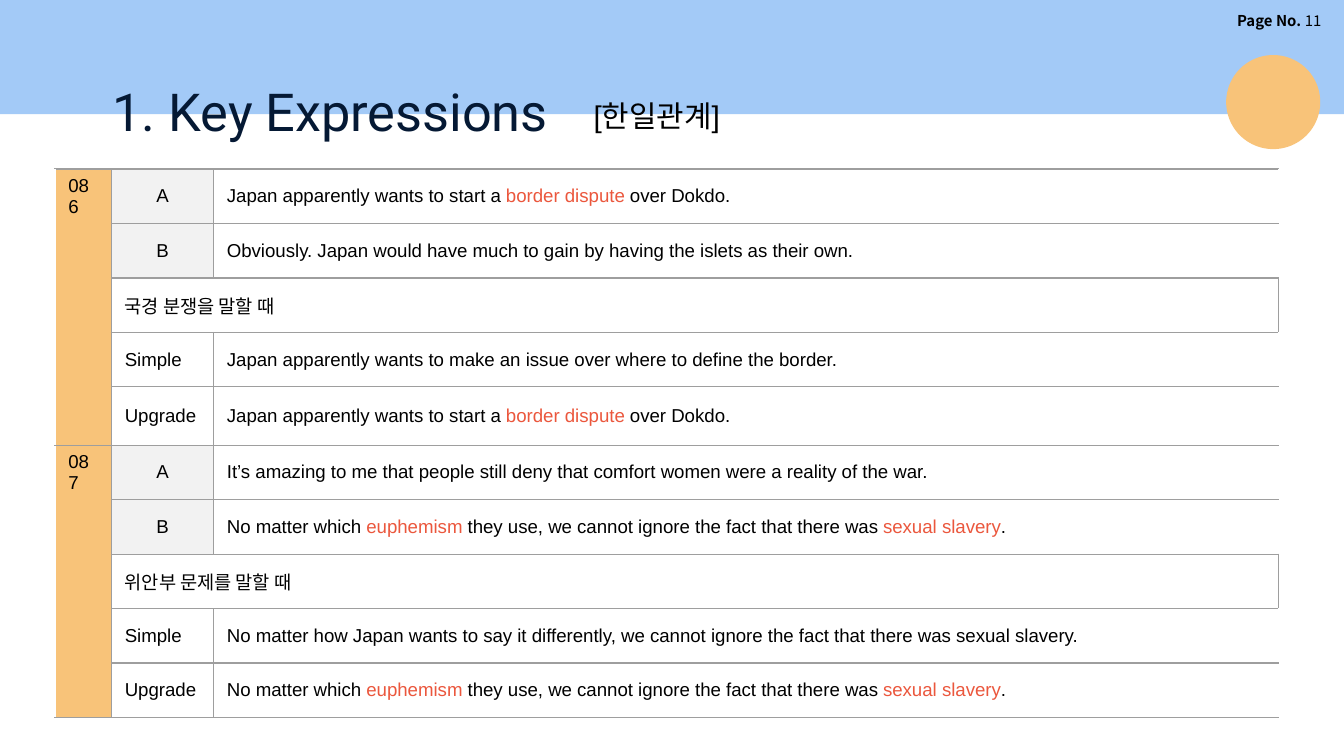
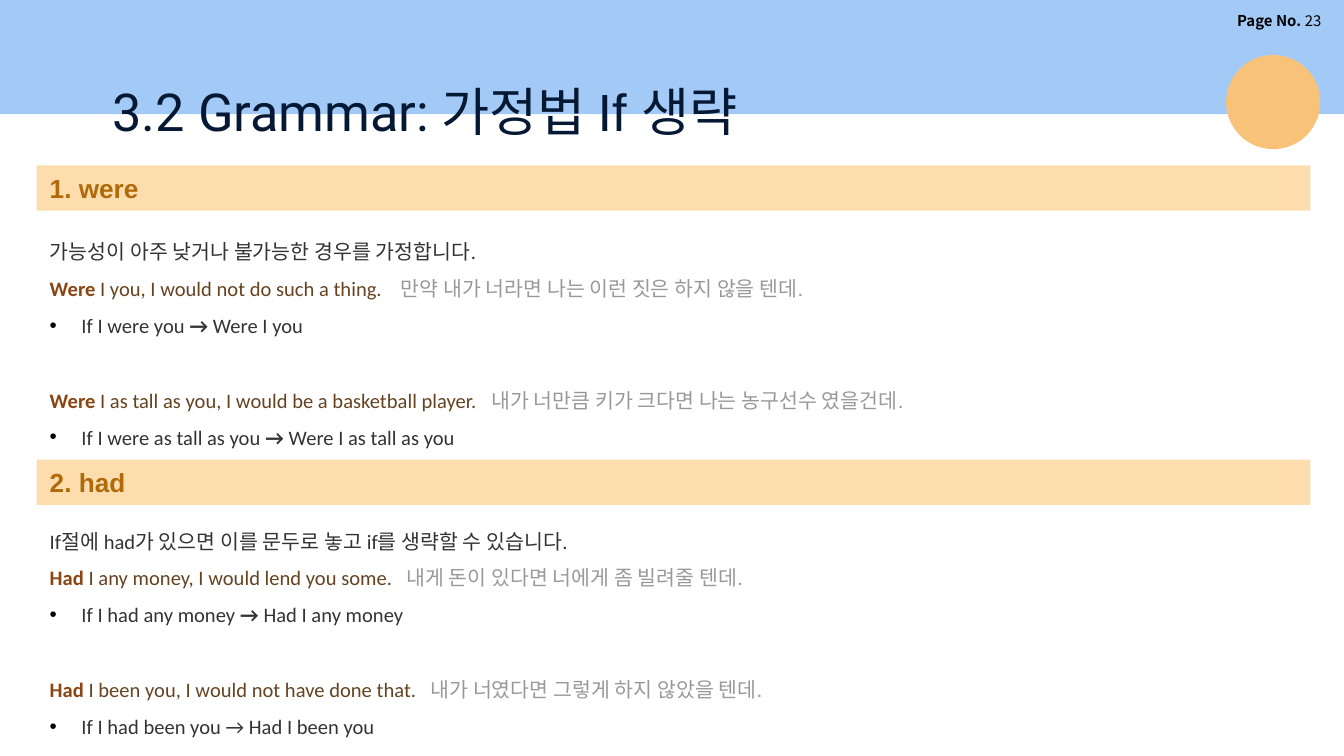
"""Build two English lesson slides: key expressions and inverted conditionals."""
from lxml import etree
from pptx import Presentation
from pptx.dml.color import RGBColor
from pptx.enum.shapes import MSO_SHAPE as Shape
from pptx.enum.text import MSO_ANCHOR as Anchor, PP_ALIGN as Align
from pptx.oxml import parse_xml
from pptx.oxml.ns import nsdecls, qn
from pptx.util import Pt

BLACK = RGBColor(0x00, 0x00, 0x00)
SKY = RGBColor(0xA3, 0xCA, 0xF7)
NAVY = RGBColor(0x05, 0x19, 0x34)
ORANGE = RGBColor(0xF8, 0xC3, 0x79)
PEACH = RGBColor(0xFD, 0xDC, 0xAE)
OCHRE = RGBColor(0xAF, 0x6A, 0x09)
CORAL = RGBColor(0xEB, 0x57, 0x3D)
PALE = RGBColor(0xF2, 0xF2, 0xF2)
CHARCOAL = RGBColor(0x33, 0x33, 0x33)
SIENNA = RGBColor(0x8B, 0x45, 0x13)
BROWN = RGBColor(0x65, 0x43, 0x21)
GRAY = RGBColor(0x99, 0x99, 0x99)
RULE = "9E9E9E"
WHITE = "FFFFFF"


def write(paragraph, runs, font, size, color=BLACK):
    """Fill a paragraph with (text, style) runs, a style being a dict of color, bold and font."""
    paragraph.font.name, paragraph.font.size = font, Pt(size)
    paragraph.font.color.rgb = color
    for text, style in runs:
        run = paragraph.add_run()
        run.text = text
        if "color" in style:
            run.font.color.rgb = style["color"]
        if "bold" in style:
            run.font.bold = style["bold"]
        if "font" in style:
            run.font.name = style["font"]


def add_block(slide, kind, box, fill=None):
    """Add a plain filled shape, or a wrapping text box when kind is None."""
    left, top, width, height = (Pt(length) for length in box)
    if kind is None:
        block = slide.shapes.add_textbox(left, top, width, height)
    else:
        block = slide.shapes.add_shape(kind, left, top, width, height)
        block.shadow.inherit = False
        block.fill.solid()
        block.fill.fore_color.rgb = fill
        block.line.fill.background()
    block.text_frame.word_wrap = True
    return block


prs = Presentation()
prs.slide_width, prs.slide_height = Pt(720), Pt(405)

headers = [
    ("11", 258, [("1. Key Expressions", {})]),
    ("23", 556.5, [("3.2 Grammar: ", {}), ("가정법 If 생략", {"font": "Arial"})]),
]
for page, title_width, title_runs in headers:
    slide = prs.slides.add_slide(prs.slide_layouts[6])
    add_block(slide, Shape.RECTANGLE, (0, 0, 720, 61.2), SKY)
    add_block(slide, Shape.OVAL, (656.9, 29.5, 50.4, 50.4), ORANGE)

    page_label = add_block(slide, None, (610.6, 2.9, 104.4, 16.6)).text_frame
    page_label.paragraphs[0].alignment = Align.RIGHT
    write(page_label.paragraphs[0], [("Page No. ", {"bold": True}), (page, {})],
          "Noto Sans CJK KR", 8)

    title = add_block(slide, None, (53.3, 35.3, title_width, 45.4)).text_frame
    title.margin_top = title.margin_bottom = Pt(7.2)
    write(title.paragraphs[0], title_runs, "Roboto", 28, NAVY)

expressions, grammar = prs.slides

topic = add_block(expressions, None, (311, 49, 175.7, 26.6)).text_frame
write(topic.paragraphs[0], [("[한일관계]", {})], "Arial", 16)

border_line = "Japan apparently wants to start a |border dispute |over Dokdo."
euphemism_line = ("No matter which |euphemism| they use, we cannot ignore the fact "
                  "that there was |sexual slavery|.")
lessons = [
    ("086", [
        ("A", border_line),
        ("B", "Obviously. Japan would have much to gain by having the islets as their own."),
        ("국경 분쟁을 말할 때", ""),
        ("Simple", "Japan apparently wants to make an issue over where to define the border."),
        ("Upgrade", border_line),
    ]),
    ("087", [
        ("A", "It’s amazing to me that people still deny that comfort women "
              "were a reality of the war."),
        ("B", euphemism_line),
        ("위안부 문제를 말할 때", ""),
        ("Simple", "No matter how Japan wants to say it differently, we cannot ignore "
                   "the fact that there was sexual slavery."),
        ("Upgrade", euphemism_line),
    ]),
]
table = expressions.shapes.add_table(10, 3, Pt(29.4), Pt(90.6), Pt(655.5), Pt(291.7)).table
table.first_row = table.horz_banding = False
for column, width in zip(table.columns, (30.3, 54.7, 570.5)):
    column.width = Pt(width)
for row in table.rows:
    row.height = Pt(29.17)
    for col, cell in enumerate(row.cells):
        for side in "LRTB":
            outer = (col, side) in ((0, "L"), (2, "R"))
            weight, color = (Pt(1), WHITE) if outer else (Pt(0.75), RULE)
            cell._tc.get_or_add_tcPr().append(parse_xml(
                f'<a:ln{side} {nsdecls("a")} w="{weight}"><a:solidFill>'
                f'<a:srgbClr val="{color}"/></a:solidFill></a:ln{side}>'))
        cell.fill.background()

for lesson, (number, lines) in enumerate(lessons):
    first = lesson * 5
    number_cell = table.cell(first, 0)
    number_cell.merge(table.cell(first + 4, 0))
    number_cell.fill.solid()
    number_cell.fill.fore_color.rgb = ORANGE
    write(number_cell.text_frame.paragraphs[0], [(number, {})], "Arial", 10)
    for offset, (label, sentence) in enumerate(lines):
        label_cell, sentence_cell = (table.cell(first + offset, col) for col in (1, 2))
        label_cell.vertical_anchor = sentence_cell.vertical_anchor = Anchor.MIDDLE
        label_paragraph = label_cell.text_frame.paragraphs[0]
        if label in ("A", "B"):
            label_cell.fill.solid()
            label_cell.fill.fore_color.rgb = PALE
            label_paragraph.alignment = Align.CENTER
        write(label_paragraph, [(label, {})], "Arial", 10)
        if sentence:
            runs = [(piece, {"color": CORAL} if index % 2 else {})
                    for index, piece in enumerate(sentence.split("|"))]
            write(sentence_cell.text_frame.paragraphs[0], runs, "Arial", 10)
        else:
            label_cell.merge(sentence_cell)

arrow = ("→ ", {"bold": True})
sections = [
    ("1. were", 88.6, 118.1, "가능성이 아주 낮거나 불가능한 경우를 가정합니다.", [
        ("Were", " I you, I would not do such a thing.", 188,
         "만약 내가 너라면 나는 이런 짓은 하지 않을 텐데.",
         [("If I were you ", {}), arrow, ("Were I you", {})]),
        ("Were", " I as tall as you, I would be a basketball player.", 236.5,
         "내가 너만큼 키가 크다면 나는 농구선수 였을건데.",
         [("If I were as tall as you ", {}), arrow, ("Were I as tall as you", {})]),
    ]),
    ("2. had", 246.2, 273, "If절에 had가 있으면 이를 문두로 놓고 if를 생략할 수 있습니다.", [
        ("Had", " I any money, I would lend you some.", 191,
         "내게 돈이 있다면 너에게 좀 빌려줄 텐데.",
         [("If I had any money ", {}), arrow, ("Had I any money", {})]),
        ("Had", " I been you, I would not have done that.", 204,
         "내가 너였다면 그렇게 하지 않았을 텐데.",
         [("If I had been you → Had I been you", {})]),
    ]),
]
for heading, heading_top, body_top, rule, examples in sections:
    band = add_block(grammar, Shape.RECTANGLE, (19.6, heading_top, 682.4, 24.3), PEACH)
    band.text_frame.vertical_anchor = Anchor.MIDDLE
    band.text_frame.paragraphs[0].alignment = Align.LEFT
    band.text_frame.paragraphs[0].font.bold = True
    write(band.text_frame.paragraphs[0], [(heading, {})], "Arial", 14, OCHRE)

    body = add_block(grammar, None, (19.6, body_top, 682.4, 125.3)).text_frame
    write(body.paragraphs[0], [(rule, {})], "Calibri", 11, CHARCOAL)
    for index, (verb, clause, gap, korean, rewrite) in enumerate(examples):
        example = body.add_paragraph()
        example.space_before = Pt(20 * index)
        tabs = etree.SubElement(example._p.get_or_add_pPr(), qn("a:tabLst"))
        etree.SubElement(tabs, qn("a:tab"), pos=str(Pt(gap)), algn="l")
        write(example, [(verb, {"color": SIENNA, "bold": True}), (clause + "\t", {}),
                        (korean, {"color": GRAY})], "Calibri", 11, BROWN)

        bullet = body.add_paragraph()
        props = bullet._p.get_or_add_pPr()
        props.set("marL", str(Pt(17)))
        props.set("indent", str(-Pt(17)))
        bullet_color = etree.SubElement(props, qn("a:buClr"))
        etree.SubElement(bullet_color, qn("a:srgbClr"), val=str(BLACK))
        etree.SubElement(props, qn("a:buFont"), typeface="Arial")
        etree.SubElement(props, qn("a:buChar"), char="•")
        write(bullet, rewrite, "Calibri", 11, CHARCOAL)
    for paragraph in body.paragraphs:
        paragraph.line_spacing = 1.5

prs.save("out.pptx")
